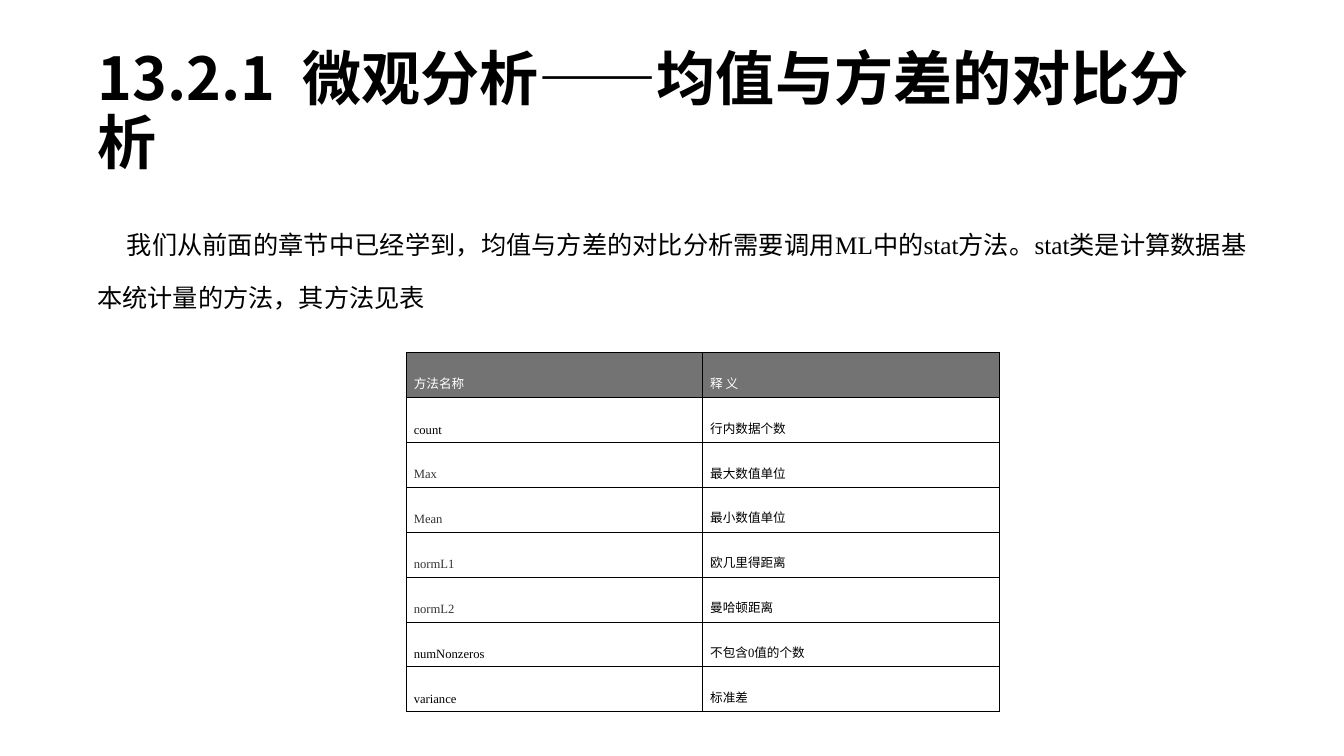
from itertools import groupby

from lxml import etree
from pptx import Presentation
from pptx.dml.color import RGBColor
from pptx.enum.text import MSO_ANCHOR, PP_ALIGN
from pptx.oxml.ns import qn
from pptx.util import Pt

JUSTIFY = PP_ALIGN.JUSTIFY
LEFT = PP_ALIGN.LEFT
TOP = MSO_ANCHOR.TOP
MIDDLE = MSO_ANCHOR.MIDDLE

HAN_FONT = "Noto Sans CJK SC"
LATIN_FONT = "Times New Roman"
BLACK, GREY, WHITE, HEADER_FILL = "000000", "333333", "FFFFFF", "737373"

TITLE = "13.2.1  微观分析——均值与方差的对比分析"
INTRO = (
    "我们从前面的章节中已经学到，均值与方差的对比分析需要调用ML中的stat方法。"
    "stat类是计算数据基本统计量的方法，其方法见表"
)
METHODS = [
    ("方法名称", "释 义", WHITE),
    ("count", "行内数据个数", BLACK),
    ("Max", "最大数值单位", GREY),
    ("Mean", "最小数值单位", GREY),
    ("normL1", "欧几里得距离", GREY),
    ("normL2", "曼哈顿距离", GREY),
    ("numNonzeros", "不包含0值的个数", BLACK),
    ("variance", "标准差", BLACK),
]


def color(code):
    return RGBColor.from_string(code)


def apply(target, values):
    for name, value in values.items():
        setattr(target, name, value)


def is_latin(letter):
    return letter.isascii() and letter != " "


class MethodPage:
    def __init__(self, deck):
        self.page = deck.slides.add_slide(deck.slide_layouts[6])

    def add_span(self, para, text, font, size, code, bold):
        span = para.add_run()
        span.text = text
        apply(span.font, {"name": font, "size": Pt(size), "bold": bold})
        span.font.color.rgb = color(code)
        etree.SubElement(span.font._element, qn("a:ea"), typeface=HAN_FONT)

    def fill_frame(self, frame, text, size, code, spacing, align=JUSTIFY,
                   margin=0, indent=0, bold=False, latin=LATIN_FONT):
        para = frame.paragraphs[0]
        apply(para, {"alignment": align, "line_spacing": spacing})
        properties = para._p.get_or_add_pPr()
        properties.set("marL", str(int(Pt(margin))))
        properties.set("indent", str(int(Pt(indent))))
        if latin == HAN_FONT:
            self.add_span(para, text, HAN_FONT, size, code, bold)
            return
        for latin_part, letters in groupby(text, is_latin):
            font = latin if latin_part else HAN_FONT
            self.add_span(para, "".join(letters), font, size, code, bold)

    def text(self, left, top, width, height, text, anchor=TOP, **style):
        box = self.page.shapes.add_textbox(Pt(left), Pt(top), Pt(width), Pt(height))
        frame = box.text_frame
        apply(frame, {
            "word_wrap": True, "vertical_anchor": anchor,
            "margin_left": Pt(3.6), "margin_right": Pt(3.6),
            "margin_top": Pt(3.6), "margin_bottom": Pt(3.6),
        })
        self.fill_frame(frame, text, **style)

    def border(self, cell):
        properties = cell._tc.get_or_add_tcPr()
        for side in ("a:lnL", "a:lnR", "a:lnT", "a:lnB"):
            line = etree.SubElement(properties, qn(side), w=str(int(Pt(0.5))))
            fill = etree.SubElement(line, qn("a:solidFill"))
            etree.SubElement(fill, qn("a:srgbClr"), val=BLACK)

    def cell(self, cell, text, code, header):
        apply(cell, {
            "margin_left": Pt(4), "margin_right": Pt(4),
            "margin_top": Pt(4), "margin_bottom": Pt(4),
        })
        self.border(cell)
        if header:
            cell.fill.solid()
            cell.fill.fore_color.rgb = color(HEADER_FILL)
        else:
            cell.fill.background()
        self.fill_frame(cell.text_frame, text, 9, code, Pt(24), margin=1.4)

    def table(self, left, top, width, row_height, rows):
        table = self.page.shapes.add_table(
            len(rows), 2, Pt(left), Pt(top), Pt(width), Pt(row_height * len(rows))
        ).table
        apply(table, {"first_row": False, "horz_banding": False})
        for index, (name, meaning, code) in enumerate(rows):
            header = index == 0
            table.rows[index].height = Pt(row_height)
            self.cell(table.cell(index, 0), name, code, header)
            self.cell(table.cell(index, 1), meaning, WHITE if header else BLACK, header)


def main():
    deck = Presentation()
    apply(deck, {"slide_width": Pt(960), "slide_height": Pt(540)})
    page = MethodPage(deck)
    page.text(66, 28.8, 828, 104.4, TITLE, anchor=MIDDLE, size=42.2, code=BLACK,
              spacing=0.9, align=LEFT, bold=True, latin=HAN_FONT)
    page.text(66, 144, 828, 85, INTRO, size=18, code=BLACK, spacing=Pt(38), indent=21)
    page.table(290.2, 252, 423.4, 15, METHODS)
    deck.save("out.pptx")


if __name__ == "__main__":
    main()
